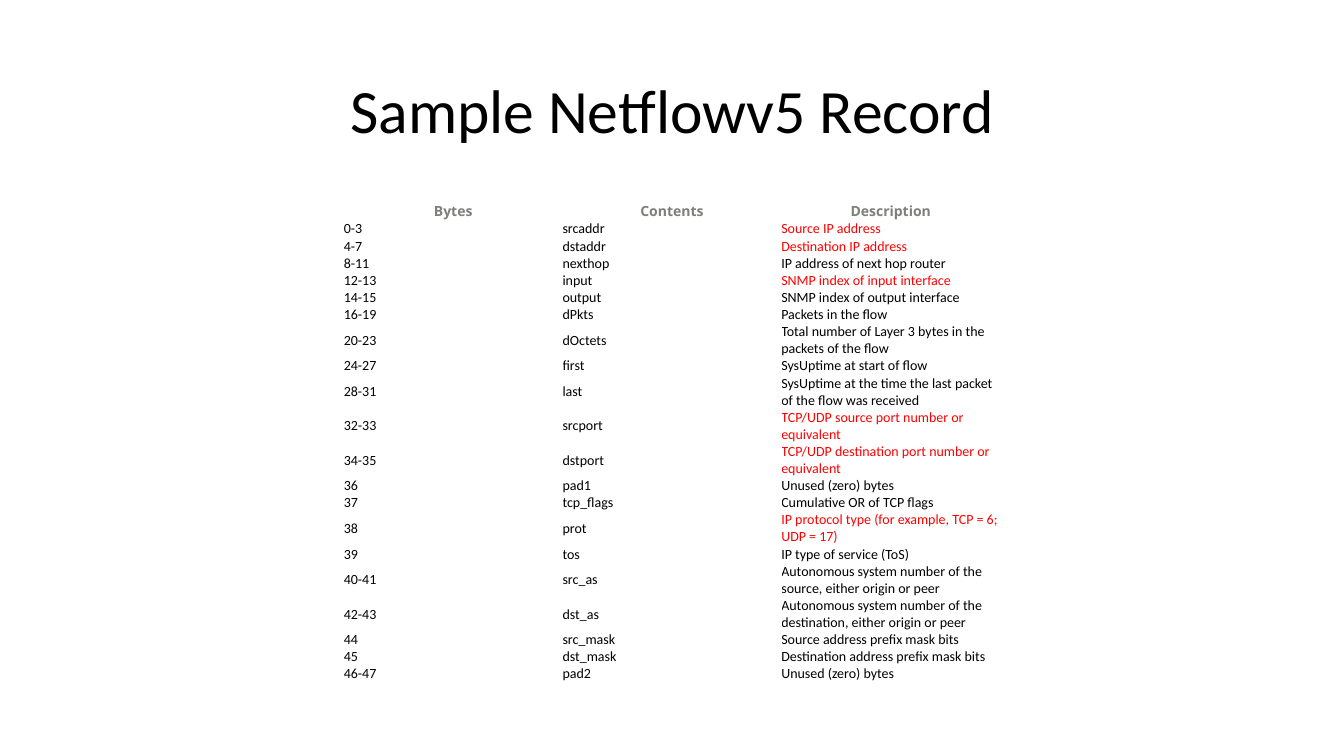
from pptx import Presentation
from pptx.dml.color import RGBColor
from pptx.enum.text import MSO_ANCHOR, PP_ALIGN
from pptx.util import Inches, Pt

BLACK, RED, GRAY, WHITE = "000000", "FF0000", "7F7F79", "FFFFFF"
LINE_HEIGHT = 0.17
LONGEST_SINGLE_LINE = 38

HEADINGS = ("Bytes", "Contents", "Description")
FIELDS = [
    ("0-3", "srcaddr", "Source IP address"),
    ("4-7", "dstaddr", "Destination IP address"),
    ("8-11", "nexthop", "IP address of next hop router"),
    ("12-13", "input", "SNMP index of input interface"),
    ("14-15", "output", "SNMP index of output interface"),
    ("16-19", "dPkts", "Packets in the flow"),
    ("20-23", "dOctets", "Total number of Layer 3 bytes in the packets of the flow"),
    ("24-27", "first", "SysUptime at start of flow"),
    ("28-31", "last", "SysUptime at the time the last packet of the flow was received"),
    ("32-33", "srcport", "TCP/UDP source port number or equivalent"),
    ("34-35", "dstport", "TCP/UDP destination port number or equivalent"),
    ("36", "pad1", "Unused (zero) bytes"),
    ("37", "tcp_flags", "Cumulative OR of TCP flags"),
    ("38", "prot", "IP protocol type (for example, TCP = 6; UDP = 17)"),
    ("39", "tos", "IP type of service (ToS)"),
    ("40-41", "src_as", "Autonomous system number of the source, either origin or peer"),
    ("42-43", "dst_as", "Autonomous system number of the destination, either origin or peer"),
    ("44", "src_mask", "Source address prefix mask bits"),
    ("45", "dst_mask", "Destination address prefix mask bits"),
    ("46-47", "pad2", "Unused (zero) bytes"),
]
KEY_FIELDS = {"srcaddr", "dstaddr", "input", "srcport", "dstport", "prot"}


def color(hex_string):
    return RGBColor.from_string(hex_string)


def add_run(paragraph, text, size, font_name, hex_string, bold=False):
    run = paragraph.add_run()
    run.text = text
    run.font.size = Pt(size)
    run.font.name = font_name
    run.font.bold = bold
    run.font.color.rgb = color(hex_string)


presentation = Presentation()
presentation.slide_width = Inches(13.33)
presentation.slide_height = Inches(7.5)
slide = presentation.slides.add_slide(presentation.slide_layouts[5])

title = slide.shapes.title
title.left, title.top = Inches(0.92), Inches(0.4)
title.width, title.height = Inches(11.5), Inches(1.45)
title.text_frame.vertical_anchor = MSO_ANCHOR.MIDDLE
paragraph = title.text_frame.paragraphs[0]
paragraph.alignment = PP_ALIGN.CENTER
paragraph.line_spacing = 0.9
add_run(paragraph, "Sample Netflowv5 Record", 44, "Calibri", BLACK)

records = [HEADINGS] + FIELDS
table = slide.shapes.add_table(
    len(records), len(HEADINGS), Inches(3.41), Inches(2), Inches(6.51), Inches(4.76)
).table
table.first_row = False
table.horz_banding = False
for column in table.columns:
    column.width = Inches(2.17)

for row_index, record in enumerate(records):
    lines = 2 if len(record[2]) > LONGEST_SINGLE_LINE else 1
    table.rows[row_index].height = Inches(LINE_HEIGHT * lines)
    for column_index, text in enumerate(record):
        cell = table.cell(row_index, column_index)
        cell.fill.solid()
        cell.fill.fore_color.rgb = color(WHITE)
        cell.vertical_anchor = MSO_ANCHOR.MIDDLE
        cell.margin_left = cell.margin_right = Inches(0)
        cell.margin_top = cell.margin_bottom = Inches(0)
        paragraph = cell.text_frame.paragraphs[0]
        if row_index == 0:
            paragraph.alignment = PP_ALIGN.CENTER
            add_run(paragraph, text, 10, "Open Sans", GRAY, bold=True)
        else:
            paragraph.alignment = PP_ALIGN.LEFT
            is_key = column_index == 2 and record[1] in KEY_FIELDS
            add_run(paragraph, text, 10, "Calibri", RED if is_key else BLACK)

presentation.save("out.pptx")
